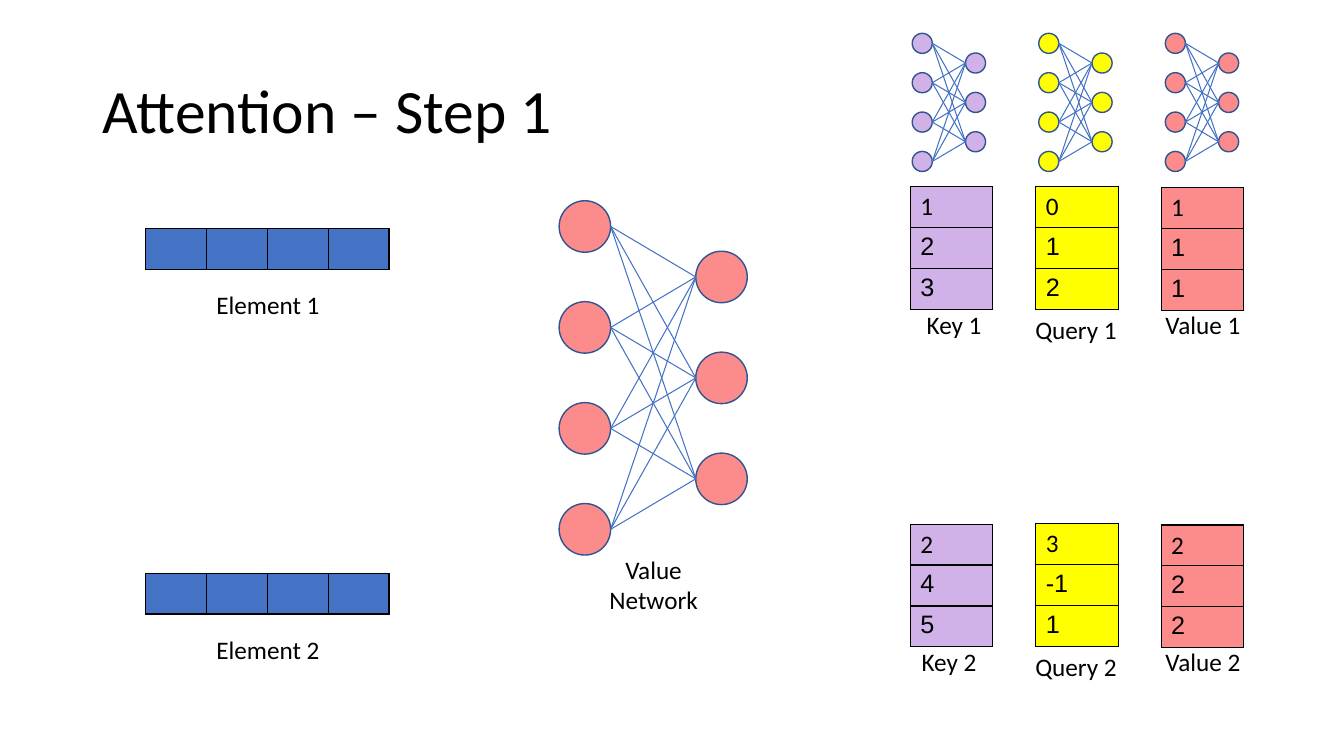
from lxml import etree
from pptx import Presentation, util as u
from pptx.dml.color import RGBColor
from pptx.enum import shapes, text
from pptx.oxml import ns

Pt = u.Pt
BLACK = RGBColor(0x00, 0x00, 0x00)
BLUE = RGBColor(0x44, 0x72, 0xC4)
DARK_BLUE = RGBColor(0x31, 0x53, 0x8F)
PURPLE = RGBColor(0xD0, 0xB2, 0xE8)
YELLOW = RGBColor(0xFF, 0xFF, 0x00)
RED = RGBColor(0xFC, 0x8C, 0x8C)

TITLE = "Attention – Step 1"
ELEMENTS = ["Element 1", "Element 2"]
# name, colour, vector top, label tops offset, label lefts, vectors
VECTORS = [
    ("Key", PURPLE, 133.4, 217.4, (637.2, 633.6), [(1, 2, 3), (2, 4, 5)]),
    ("Query", YELLOW, 133.2, 221, (724.3, 724.3), [(0, 1, 2), (3, -1, 1)]),
    ("Value", RED, 134, 217.4, (815, 815), [(1, 1, 1), (2, 2, 2)]),
]
VECTOR_LEFT, VECTOR_PITCH, VECTOR_WIDTH = 650.2, 89.6, 59
ELEMENT_LEFT, ELEMENT_TOP, ELEMENT_PITCH = 104.2, 163.4, 246
CELL_WIDTH, ROW_HEIGHT, STEP = 43.4, 29.2, 241
INPUTS, OUTPUTS = 4, 3
NODE, NODE_PITCH, LAYER_GAP = 36.8, 72.1, 97.6
SMALL_LEFT, SMALL_TOP, SMALL_PITCH, SMALL_SCALE = 651.6, 23.8, 90.4, 0.39


def points(*lengths):
    return [Pt(length) for length in lengths]


def format_font(paragraph, name="Calibri", size=18):
    paragraph.font.color.rgb = BLACK
    for key, value in {"name": name, "size": Pt(size)}.items():
        setattr(paragraph.font, key, value)


def add_label(parent, words, left, top, width, height=28.8):
    frame = parent.add_textbox(*points(left, top, width, height)).text_frame
    frame.word_wrap = True
    frame.text = words
    frame.paragraphs[0].alignment = text.PP_ALIGN.CENTER
    format_font(frame.paragraphs[0])


def add_borders(cell):
    properties = cell._tc.get_or_add_tcPr()
    for index, side in enumerate(("lnL", "lnR", "lnT", "lnB")):
        border = etree.Element(ns.qn(f"a:{side}"), w=str(Pt(1)))
        fill = etree.SubElement(border, ns.qn("a:solidFill"))
        etree.SubElement(fill, ns.qn("a:srgbClr"), val=str(BLACK))
        properties.insert(index, border)


def add_grid(slide, rows, left, top, cell_width, colour):
    """Draw rows of values as a bordered table; None leaves a cell empty."""
    columns = len(rows[0])
    table = slide.shapes.add_table(len(rows), columns, *points(
        left, top, cell_width * columns, ROW_HEIGHT * len(rows))).table
    for flag in ("first_row", "horz_banding"):
        setattr(table, flag, False)
    for row, values in enumerate(rows):
        for column, value in enumerate(values):
            cell = table.cell(row, column)
            cell.fill.solid()
            cell.fill.fore_color.rgb = colour
            add_borders(cell)
            if value is not None:
                cell.text = str(value)
            format_font(cell.text_frame.paragraphs[0],
                        "Arial" if row else "Calibri")


def add_network(slide, left, top, colour, scale=1.0):
    """Draw two fully connected layers of nodes and return their group."""
    group = slide.shapes.add_group_shape()
    node, pitch, gap = (scale * size for size in (NODE, NODE_PITCH, LAYER_GAP))
    inputs = [(left, top + i * pitch) for i in range(INPUTS)]
    outputs = [(left + gap, top + (i + 0.5) * pitch) for i in range(OUTPUTS)]
    for x, y in inputs + outputs:
        circle = group.shapes.add_shape(
            shapes.MSO_SHAPE.FLOWCHART_CONNECTOR, *points(x, y, node, node))
        circle.shadow.inherit = False
        circle.fill.solid()
        circle.fill.fore_color.rgb = colour
        circle.line.color.rgb = DARK_BLUE
        circle.line.width = Pt(1)
    for x1, y1 in inputs:
        for x2, y2 in outputs:
            edge = group.shapes.add_connector(
                shapes.MSO_CONNECTOR.STRAIGHT,
                *points(x1 + node, y1 + node / 2, x2, y2 + node / 2))
            edge.line.color.rgb = BLUE
            edge.line.width = Pt(0.75)
            etree.SubElement(edge._element.spPr, ns.qn("a:effectLst"))
    return group


def add_title(slide):
    title = slide.shapes.title
    title.left, title.top, title.width, title.height = points(
        66.2, 28.8, 828, 104.4)
    frame = title.text_frame
    frame.text = TITLE
    for key, value in {"vertical_anchor": text.MSO_ANCHOR.MIDDLE,
                       "auto_size": text.MSO_AUTO_SIZE.NONE,
                       "word_wrap": True}.items():
        setattr(frame, key, value)
    paragraph = frame.paragraphs[0]
    paragraph.alignment = text.PP_ALIGN.LEFT
    paragraph.line_spacing = 0.9
    format_font(paragraph, size=44)


def main():
    presentation = Presentation()
    presentation.slide_width, presentation.slide_height = points(960, 540)
    slide = presentation.slides.add_slide(presentation.slide_layouts[5])
    add_title(slide)

    for i, name in enumerate(ELEMENTS):
        top = ELEMENT_TOP + i * ELEMENT_PITCH
        add_grid(slide, [[None] * 4], ELEMENT_LEFT, top, CELL_WIDTH, BLUE)
        add_label(slide.shapes, name, 143.2, top + 39.8, 96.4)

    network = add_network(slide, 399.4, 143.4, RED)
    add_label(network.shapes, "Value Network", 411.8, 392.4, 110.2, 51)

    for i, (name, colour, top, label_top, lefts, vectors) in enumerate(VECTORS):
        add_network(slide, SMALL_LEFT + i * SMALL_PITCH, SMALL_TOP, colour,
                    SMALL_SCALE)
        for j, (vector, label_left) in enumerate(zip(vectors, lefts)):
            add_grid(slide, [[value] for value in vector],
                     VECTOR_LEFT + i * VECTOR_PITCH, top + j * STEP,
                     VECTOR_WIDTH, colour)
            add_label(slide.shapes, f"{name} {j + 1}", label_left,
                      label_top + j * STEP, 88.6)

    presentation.save("out.pptx")


if __name__ == "__main__":
    main()
